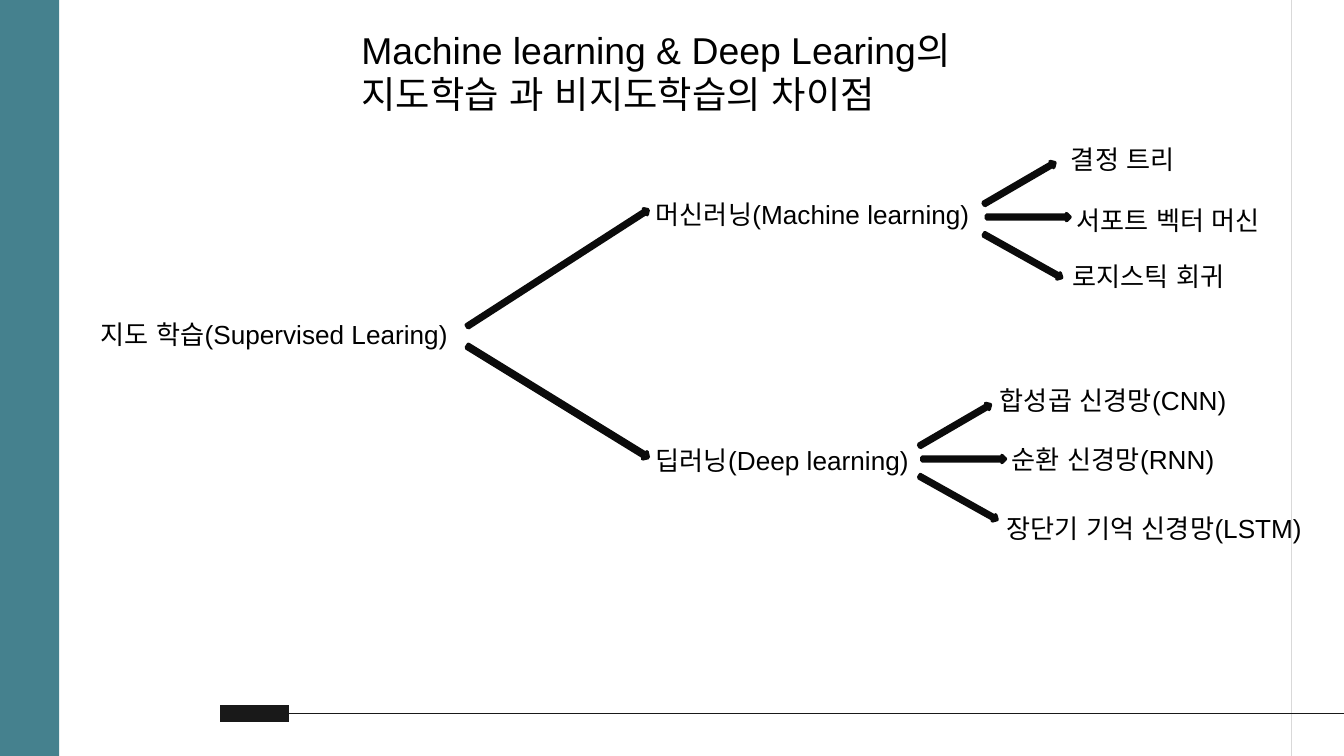
from pptx import Presentation
from pptx.dml.color import RGBColor
from pptx.enum.shapes import MSO_CONNECTOR, MSO_SHAPE
from pptx.enum.text import MSO_AUTO_SIZE
from pptx.oxml.ns import qn
from pptx.util import Inches, Pt

TEAL = RGBColor(0x45, 0x81, 0x8E)
LIGHT_GRAY = RGBColor(0xD9, 0xD9, 0xD9)
CHARCOAL = RGBColor(0x19, 0x19, 0x19)
NEAR_BLACK = RGBColor(0x0B, 0x0B, 0x0B)
BLACK = RGBColor(0, 0, 0)

FONT = "Arial"
SLIDE_WIDTH = 10
SLIDE_HEIGHT = SLIDE_WIDTH * 9 / 16
LABEL_HEIGHT = 0.34


def add_line(slide, start, end, color, width):
    line = slide.shapes.add_connector(
        MSO_CONNECTOR.STRAIGHT, *(Inches(value) for value in (*start, *end)))
    line.line.color.rgb = color
    line.line.width = Pt(width)
    properties = line._element.spPr
    properties.append(properties.makeelement(qn("a:effectLst"), {}))


def add_label(slide, text, left, top, width, height=LABEL_HEIGHT, size=14):
    box = slide.shapes.add_textbox(
        Inches(left), Inches(top), Inches(width), Inches(height))
    frame = box.text_frame
    frame.word_wrap = True
    frame.auto_size = MSO_AUTO_SIZE.SHAPE_TO_FIT_TEXT
    run = frame.paragraphs[0].add_run()
    run.text = text
    run.font.name = FONT
    run.font.size = Pt(size)
    run.font.color.rgb = BLACK
    # Same typeface for the Korean letters
    properties = run._r.get_or_add_rPr()
    properties.append(properties.makeelement(qn("a:ea"), {"typeface": FONT}))


def add_arrow(slide, left, top, width, height=0.05, rotation=0):
    arrow = slide.shapes.add_shape(
        MSO_SHAPE.RIGHT_ARROW,
        Inches(left), Inches(top), Inches(width), Inches(height))
    arrow.rotation = rotation
    arrow.shadow.inherit = False
    arrow.fill.solid()
    arrow.fill.fore_color.rgb = CHARCOAL
    arrow.line.color.rgb = NEAR_BLACK
    arrow.line.width = Pt(2)


def add_frame(slide, width, height):
    # Side band
    band = slide.shapes.add_shape(
        MSO_SHAPE.RECTANGLE, 0, 0, Inches(0.44), Inches(height))
    band.shadow.inherit = False
    band.fill.solid()
    band.fill.fore_color.rgb = TEAL
    band.line.fill.background()

    # Right margin rule
    rule_left = width - 0.39
    add_line(slide, (rule_left, -0.04), (rule_left, height + 0.04), LIGHT_GRAY, 0.75)

    # Footer rule with thick start
    footer_top = 5.31
    add_line(slide, (1.64, footer_top), (2.15, footer_top), CHARCOAL, 9)
    add_line(slide, (2.15, footer_top), (width + 0.06, footer_top), CHARCOAL, 0.75)


def add_root(slide, left, top):
    """Root topic with one arrow up and one arrow down to its branches."""
    add_label(slide, "지도 학습(Supervised Learing)", left, top, 3.39)
    add_arrow(slide, left + 2.7, top - 0.35, 1.6, rotation=327.2)
    add_arrow(slide, left + 2.71, top + 0.64, 1.58, 0.06, rotation=31.6)


def add_fan(slide, left, top, leaves):
    """Three spreading arrows; each leaf is (text, x offset, y offset, width)."""
    add_arrow(slide, left, top, 0.61, rotation=329.8)
    add_arrow(slide, left + 0.06, top + 0.25, 0.62)
    add_arrow(slide, left, top + 0.54, 0.66, rotation=29.2)
    for text, offset_x, offset_y, width in leaves:
        add_label(slide, text, left + offset_x, top + offset_y, width)


def main():
    presentation = Presentation()
    presentation.slide_width = Inches(SLIDE_WIDTH)
    presentation.slide_height = Inches(SLIDE_HEIGHT)
    slide = presentation.slides.add_slide(presentation.slide_layouts[6])

    add_frame(slide, SLIDE_WIDTH, SLIDE_HEIGHT)
    add_label(slide, "Machine learning & Deep Learing의 지도학습 과 비지도학습의 차이점",
              2.59, 0.15, 5.19, 0.77, size=20)
    add_root(slide, 0.65, 2.32)

    # Machine learning branch
    add_label(slide, "머신러닝(Machine learning)", 4.78, 1.43, 2.55)
    add_fan(slide, 7.28, 1.34, [
        ("결정 트리", 0.59, -0.32, 1.73),
        ("서포트 벡터 머신", 0.63, 0.13, 2.02),
        ("로지스틱 회귀", 0.6, 0.55, 1.73),
    ])

    # Deep learning branch
    add_label(slide, "딥러닝(Deep learning)", 4.78, 3.26, 2.17)
    add_fan(slide, 6.8, 3.14, [
        ("합성곱 신경망(CNN)", 0.54, -0.33, 2.05),
        ("순환 신경망(RNN)", 0.63, 0.11, 2.05),
        ("장단기 기억 신경망(LSTM)", 0.59, 0.62, 2.73),
    ])

    presentation.save("out.pptx")


if __name__ == "__main__":
    main()
